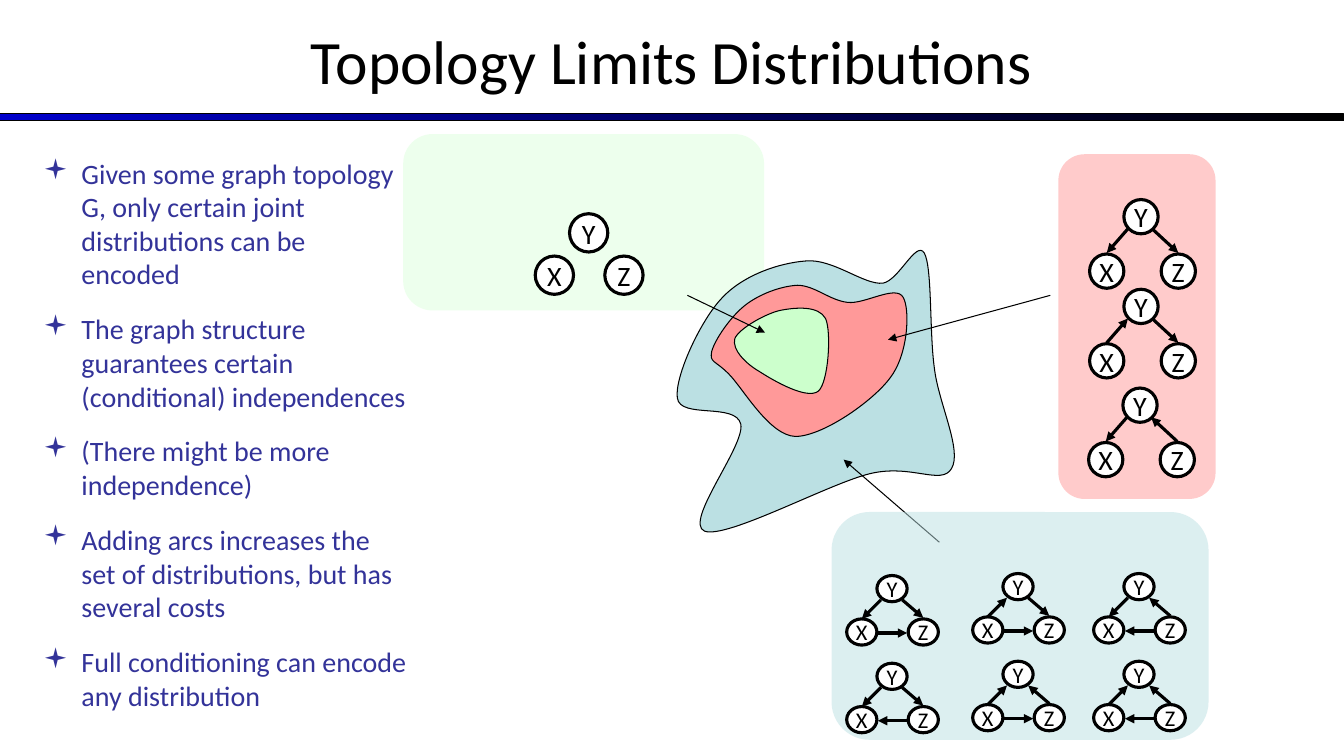
"""Build the slide "Topology Limits Distributions"."""
from dataclasses import dataclass

from pptx import Presentation
from pptx.dml.color import RGBColor
from pptx.enum.shapes import MSO_CONNECTOR, MSO_SHAPE
from pptx.enum.text import MSO_ANCHOR, PP_ALIGN
from pptx.oxml.ns import qn
from pptx.shapes.autoshape import Shape
from pptx.slide import Slide
from pptx.text.text import TextFrame
from pptx.util import Emu, Pt
from lxml import etree

STRAIGHT = MSO_CONNECTOR.STRAIGHT
ELLIPSE = MSO_SHAPE.OVAL
RECTANGLE = MSO_SHAPE.RECTANGLE
ROUNDED = MSO_SHAPE.ROUNDED_RECTANGLE
MIDDLE = MSO_ANCHOR.MIDDLE
CENTER = PP_ALIGN.CENTER

EMU_PER_PX = 9144
SLIDE_WIDTH = Emu(12192000)
FONT = "Calibri"
BULLET_FONT = "Wingdings"
BLACK = RGBColor(0x00, 0x00, 0x00)
WHITE = RGBColor(0xFF, 0xFF, 0xFF)
BLUE = RGBColor(0x00, 0x00, 0xCC)
INDIGO = RGBColor(0x33, 0x33, 0x99)
GREEN = RGBColor(0xCC, 0xFF, 0xCC)
RED = RGBColor(0xFF, 0x99, 0x99)
TEAL = RGBColor(0xBB, 0xE0, 0xE3)

Point = tuple[int, int]
Box = tuple[int, int, int, int]


@dataclass(frozen=True)
class GraphStyle:
    """Node size and offsets from node X, with one line for each edge."""
    node_size: Point
    font_size: int
    nodes: dict[str, Point]
    edges: dict[str, tuple[Point, Point]]


@dataclass(frozen=True)
class Graph:
    """A graph placed by the corner of node X, with edges such as YX."""
    origin: Point
    edges: str


@dataclass(frozen=True)
class Panel:
    """A translucent panel holding graphs of one style."""
    box: Box
    color: RGBColor
    opacity: int
    style: GraphStyle
    graphs: tuple[Graph, ...]


@dataclass(frozen=True)
class Region:
    """A closed outline of cubic curves, three points per curve."""
    color: RGBColor
    points: tuple[Point, ...]


GREEN_STYLE = GraphStyle((38, 38), 20, {"X": (0, 0), "Y": (34, -42), "Z": (69, 0)}, {})
RED_STYLE = GraphStyle(
    (34, 34), 20, {"X": (0, 0), "Y": (34, -54), "Z": (71, 0)},
    {"YX": ((38, -25), (17, -1)), "YZ": ((62, -25), (88, -1))})
TEAL_STYLE = GraphStyle(
    (30, 26), 16, {"X": (0, 0), "Y": (30, -43), "Z": (61, 0)},
    {"YX": ((34, -19), (15, 0)), "YZ": ((55, -19), (76, -1)), "XZ": ((31, 14), (60, 14))})

GREEN_PANEL = Panel((400, 133, 358, 175), GREEN, 34, GREEN_STYLE, (Graph((531, 254), ""),))
RED_PANEL = Panel((1050, 153, 156, 342), RED, 50, RED_STYLE, (
    Graph((1081, 252), "YX YZ"), Graph((1081, 341), "XY YZ"), Graph((1080, 439), "YX ZY")))
TEAL_PANEL = Panel((825, 508, 374, 226), TEAL, 50, TEAL_STYLE, (
    Graph((840, 614), "YX YZ XZ"), Graph((965, 612), "XY YZ XZ"),
    Graph((1085, 612), "YX ZY ZX"), Graph((840, 701), "YX YZ ZX"),
    Graph((965, 699), "XY ZY XZ"), Graph((1085, 699), "XY ZY ZX")))

REGIONS = (
    Region(TEAL, (
        (876, 281), (857, 283), (826, 256), (799, 259), (773, 261), (737, 273), (716, 296),
        (695, 318), (669, 374), (672, 395), (675, 416), (730, 399), (735, 421),
        (739, 443), (678, 518), (699, 527), (721, 535), (822, 480), (863, 470),
        (904, 460), (934, 482), (944, 465), (955, 447), (931, 400), (927, 365),
        (922, 329), (925, 265), (917, 251), (909, 238), (892, 278), (876, 281))),
    Region(RED, (
        (723, 371), (737, 385), (763, 432), (789, 433), (816, 433), (866, 398), (883, 375),
        (901, 352), (903, 307), (896, 295), (889, 282), (858, 302), (841, 300),
        (823, 298), (808, 283), (791, 283), (774, 284), (753, 292), (739, 303),
        (725, 314), (709, 337), (706, 349), (704, 360), (709, 357), (723, 371))),
    Region(GREEN, (
        (774, 308), (760, 311), (733, 326), (729, 336), (726, 347), (740, 361), (754, 369),
        (768, 378), (801, 397), (812, 388), (822, 379), (825, 329), (819, 316),
        (812, 303), (789, 305), (774, 308))),
)
POINTERS = (((682, 293), (759, 330)), ((932, 538), (837, 456)), ((1042, 293), (881, 337)))
BULLETS = (
    "Given some graph topology G, only certain joint distributions can be encoded",
    "The graph structure guarantees certain (conditional) independences",
    "(There might be more independence)",
    "Adding arcs increases the set of distributions, but has several costs",
    "Full conditioning can encode any distribution",
)


def px(length: int) -> Emu:
    """Turn px into EMU."""
    return Emu(length * EMU_PER_PX)


def add_preset(slide: Slide, preset: MSO_SHAPE, box: Box) -> Shape:
    """Add a preset shape without a shadow."""
    shape = slide.shapes.add_shape(preset, *map(px, box))
    shape.shadow.inherit = False
    return shape


def paint(shape: Shape, fill: RGBColor, line_width: float) -> None:
    """Give a shape a solid fill and a black outline."""
    shape.fill.solid()
    shape.fill.fore_color.rgb = fill
    shape.line.color.rgb = BLACK
    shape.line.width = Pt(line_width)


def format_text(text_frame: TextFrame, size: int, color: RGBColor) -> None:
    """Set the font of every run in a text frame."""
    for paragraph in text_frame.paragraphs:
        for run in paragraph.runs:
            run.font.name = FONT
            run.font.size = Pt(size)
            run.font.color.rgb = color


def center_text(text_frame: TextFrame, text: str, size: int) -> None:
    """Write one black line in the middle of a text frame."""
    text_frame.text = text
    text_frame.vertical_anchor = MIDDLE
    text_frame.paragraphs[0].alignment = CENTER
    format_text(text_frame, size, BLACK)


def add_arrow(slide: Slide, start: Point, end: Point, width: float, tip: str = "tailEnd") -> None:
    """Draw a black line with an arrowhead at the chosen tip."""
    arrow = slide.shapes.add_connector(STRAIGHT, *map(px, start + end))
    arrow.line.color.rgb = BLACK
    arrow.line.width = Pt(width)
    etree.SubElement(arrow.line._get_or_add_ln(), qn(f"a:{tip}"), type="triangle")
    etree.SubElement(arrow._element.spPr, qn("a:effectLst"))


def add_graph(slide: Slide, graph: Graph, style: GraphStyle) -> None:
    """Draw the nodes X, Y and Z and the directed edges between them."""
    left, top = graph.origin
    for name, (x, y) in style.nodes.items():
        node = add_preset(slide, ELLIPSE, (left + x, top + y, *style.node_size))
        paint(node, WHITE, 2.25)
        node.text_frame.word_wrap = False
        center_text(node.text_frame, name, style.font_size)
    for edge in graph.edges.split():
        forward = edge in style.edges
        line = style.edges[edge if forward else edge[::-1]]
        start, end = ((left + x, top + y) for x, y in line)
        add_arrow(slide, start, end, 2.25, "tailEnd" if forward else "headEnd")


def add_panel(slide: Slide, panel: Panel) -> None:
    """Draw a translucent rounded panel and its graphs."""
    shape = add_preset(slide, ROUNDED, panel.box)
    shape.fill.solid()
    shape.fill.fore_color.rgb = panel.color
    shape.line.fill.background()
    color = shape._element.spPr.find(f".//{qn('a:srgbClr')}")
    etree.SubElement(color, qn("a:alpha"), val=str(panel.opacity * 1000))
    for graph in panel.graphs:
        add_graph(slide, graph, panel.style)


def add_region(slide: Slide, region: Region) -> None:
    """Draw a closed region, joining each three points into one cubic curve."""
    builder = slide.shapes.build_freeform(*region.points[0], scale=EMU_PER_PX)
    builder.add_line_segments(region.points[1:], close=True)
    shape = builder.convert_to_shape()
    segments = list(shape._element.iter(qn("a:lnTo")))
    for first in range(0, len(segments), 3):
        curve = etree.Element(qn("a:cubicBezTo"))
        segments[first].addprevious(curve)
        for segment in segments[first:first + 3]:
            curve.append(segment[0])
            segment.getparent().remove(segment)
    shape.shadow.inherit = False
    paint(shape, region.color, 0.75)


def add_bullets(slide: Slide) -> None:
    """Write the bulleted list on the left."""
    text_frame = slide.shapes.add_textbox(*map(px, (33, 150, 383, 567))).text_frame
    text_frame.word_wrap = True
    text_frame.text = "\n".join(BULLETS)
    for index, paragraph in enumerate(text_frame.paragraphs):
        properties = paragraph._p.get_or_add_pPr()
        properties.set("marL", str(px(38)))
        properties.set("indent", str(px(-38)))
        bullet_color = etree.SubElement(properties, qn("a:buClr"))
        etree.SubElement(bullet_color, qn("a:srgbClr"), val=str(INDIGO))
        etree.SubElement(properties, qn("a:buFont"), typeface=BULLET_FONT)
        etree.SubElement(properties, qn("a:buChar"), char="▪")
        if index:
            paragraph.space_before = Pt(15.2)
    format_text(text_frame, 20, INDIGO)


def add_header(slide: Slide) -> None:
    """Draw the gradient rule and the title."""
    rule = add_preset(slide, RECTANGLE, (0, 113, 1333, 7))
    paint(rule, BLUE, 0.75)
    rule.fill.gradient()
    rule.fill.gradient_angle = 0
    for stop, color in zip(rule.fill.gradient_stops, (BLUE, BLACK)):
        stop.color.rgb = color
    title = slide.shapes.add_textbox(*map(px, (0, -3, 1333, 125))).text_frame
    title.word_wrap = True
    center_text(title, "Topology Limits Distributions", 44)


def main() -> None:
    """Build and save the presentation."""
    presentation = Presentation()
    presentation.slide_width, presentation.slide_height = SLIDE_WIDTH, px(750)
    slide = presentation.slides.add_slide(presentation.slide_layouts[6])
    add_header(slide)
    add_panel(slide, GREEN_PANEL)
    add_bullets(slide)
    for region in REGIONS:
        add_region(slide, region)
    for start, end in POINTERS:
        add_arrow(slide, start, end, 0.75)
    for panel in (RED_PANEL, TEAL_PANEL):
        add_panel(slide, panel)
    presentation.save("out.pptx")


if __name__ == "__main__":
    main()
